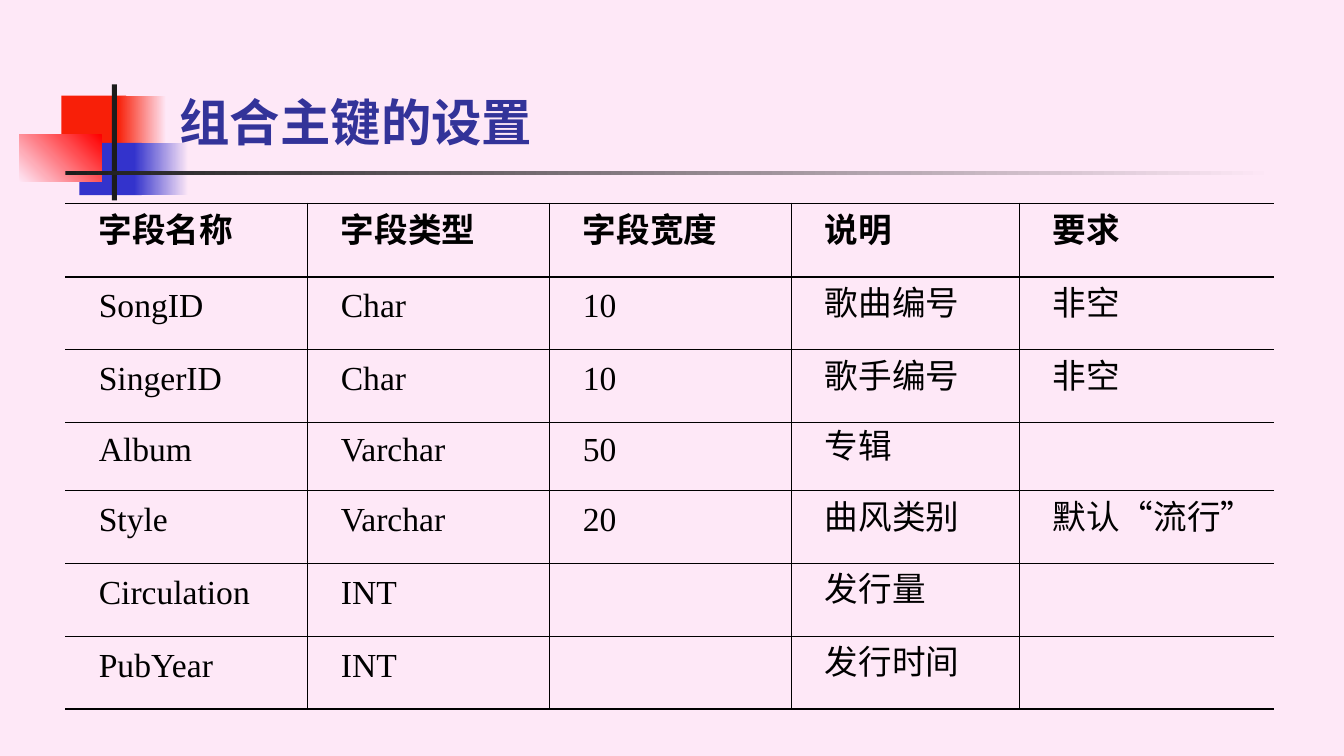
from lxml import etree
from pptx import Presentation
from pptx import util as u
from pptx.dml import color
from pptx.enum import lang, shapes, text
from pptx.oxml import ns

COLORS = {
    "page": "FEE8F7", "red": "F81F08", "bright": "FF0000", "blue": "3333CC",
    "dark": "1C1C1C", "title": "333399", "ink": "000000",
}
FONT = "Times New Roman"

FIELDS = [
    ("字段名称", "字段类型", "字段宽度", "说明", "要求"),
    ("SongID", "Char", "10", "歌曲编号", "非空"),
    ("SingerID", "Char", "10", "歌手编号", "非空"),
    ("Album", "Varchar", "50", "专辑", ""),
    ("Style", "Varchar", "20", "曲风类别", "默认“流行”"),
    ("Circulation", "INT", "", "发行量", ""),
    ("PubYear", "INT", "", "发行时间", ""),
]
COLUMN_WIDTHS = [6.1, 6.1, 6.1, 5.74, 6.42]
ROW_HEIGHTS = [1.85, 1.83, 1.83, 1.73, 1.83, 1.83, 1.83]

# Left, top, width, height (cm inside the motif box), start, end, angle
MOTIF = [
    (1.07, 0.28, 1.63, 1.32, "red", None, 0),
    (2.49, 0.28, 1.22, 1.32, "red", "page", 0),
    (1.52, 1.47, 1.57, 1.32, "blue", None, 0),
    (2.9, 1.47, 1.37, 1.32, "blue", "page", 0),
    (0, 1.27, 2.08, 1.17, "page", "bright", 45),
    (2.34, 0, 0.13, 2.92, "dark", None, 0),
    (1.17, 2.18, 30.48, 0.09, "dark", "page", 0),
]


def rgb(name):
    return color.RGBColor.from_string(COLORS[name])


def set_all(target, values):
    for name, value in values.items():
        setattr(target, name, value)


def write(para, words, size, ink, bold):
    span = para.add_run()
    span.text = words
    set_all(span.font, {
        "name": FONT, "size": u.Pt(size), "bold": bold,
        "language_id": lang.MSO_LANGUAGE_ID.SIMPLIFIED_CHINESE,
    })
    span.font.color.rgb = rgb(ink)


def add_motif(page, left, top):
    """Coloured squares with the crossing bars."""
    for x, y, width, height, start, end, angle in MOTIF:
        block = page.shapes.add_shape(
            shapes.MSO_SHAPE.RECTANGLE, u.Cm(left + x), u.Cm(top + y),
            u.Cm(width), u.Cm(height))
        block.shadow.inherit = False
        block.line.fill.background()
        if end is None:
            block.fill.solid()
            block.fill.fore_color.rgb = rgb(start)
        else:
            block.fill.gradient()
            block.fill.gradient_angle = angle
            for stop, name in zip(block.fill.gradient_stops, (start, end)):
                stop.color.rgb = rgb(name)


def add_title(page, words, left, top, width, height):
    title = page.shapes.title
    set_all(title, {"left": u.Cm(left), "top": u.Cm(top),
                    "width": u.Cm(width), "height": u.Cm(height)})
    set_all(title.text_frame, {
        "vertical_anchor": text.MSO_ANCHOR.BOTTOM,
        "auto_size": text.MSO_AUTO_SIZE.NONE, "word_wrap": True})
    para = title.text_frame.paragraphs[0]
    para.alignment = text.PP_ALIGN.LEFT
    write(para, words, 36, "title", True)
    # The heading lies in front of the motif
    page.shapes.element.append(title.element)


def set_borders(cell, widths):
    """Widths in points by side (L, R, T, B); 0 means no line."""
    props = cell._tc.get_or_add_tcPr()
    for place, (side, width) in enumerate(widths.items()):
        line = etree.Element(ns.qn(f"a:ln{side}"), w=str(u.Pt(width)))
        if width:
            fill = etree.SubElement(line, ns.qn("a:solidFill"))
            etree.SubElement(fill, ns.qn("a:srgbClr"), val=COLORS["ink"])
        else:
            etree.SubElement(line, ns.qn("a:noFill"))
        props.insert(place, line)


def fill_cell(cell, words, header):
    cell.fill.background()
    set_all(cell, {
        "margin_left": u.Cm(0.18), "margin_right": u.Cm(0.18),
        "margin_top": 0, "margin_bottom": 0,
        "vertical_anchor": text.MSO_ANCHOR.MIDDLE})
    if words:
        para = cell.text_frame.paragraphs[0]
        set_all(para, {"alignment": text.PP_ALIGN.JUSTIFY,
                       "line_spacing": u.Pt(17)})
        para._p.get_or_add_pPr().set("indent", str(u.Cm(0.66)))
        write(para, words, 24, "ink", header)


def add_field_table(page, left, top):
    rows, columns = len(FIELDS), len(COLUMN_WIDTHS)
    table = page.shapes.add_table(
        rows, columns, u.Cm(left), u.Cm(top),
        u.Cm(sum(COLUMN_WIDTHS)), u.Cm(sum(ROW_HEIGHTS))).table
    set_all(table, {"first_row": False, "horz_banding": False})
    for column, width in zip(table.columns, COLUMN_WIDTHS):
        column.width = u.Cm(width)
    for r, (row, height) in enumerate(zip(table.rows, ROW_HEIGHTS)):
        row.height = u.Cm(height)
        for c, words in enumerate(FIELDS[r]):
            cell = table.cell(r, c)
            fill_cell(cell, words, r == 0)
            set_borders(cell, {
                "L": 1 if c else 0,
                "R": 1 if c < columns - 1 else 0,
                "T": 1 if r else 1.5,
                "B": 1 if r < rows - 1 else 1.5,
            })


def main():
    deck = Presentation()
    set_all(deck, {"slide_width": u.Cm(33.87), "slide_height": u.Cm(19.05)})
    page = deck.slides.add_slide(deck.slide_layouts.get_by_name("Title Only"))
    page.background.fill.solid()
    page.background.fill.fore_color.rgb = rgb("page")
    add_motif(page, 0.48, 2.13)
    add_title(page, "组合主键的设置", 4.27, 1.73, 28.85, 2.21)
    add_field_table(page, 1.65, 5.13)
    deck.save("out.pptx")


if __name__ == "__main__":
    main()
